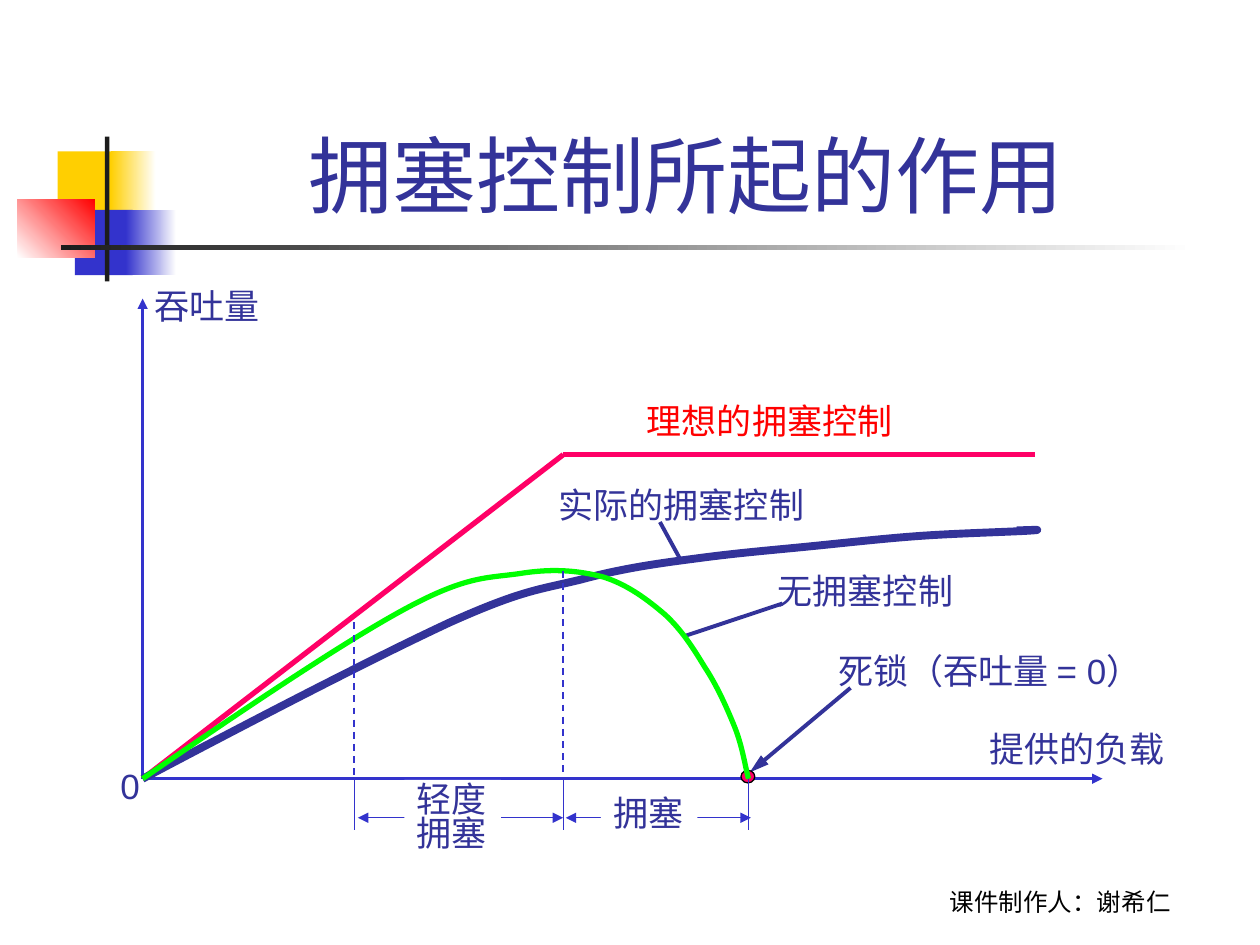
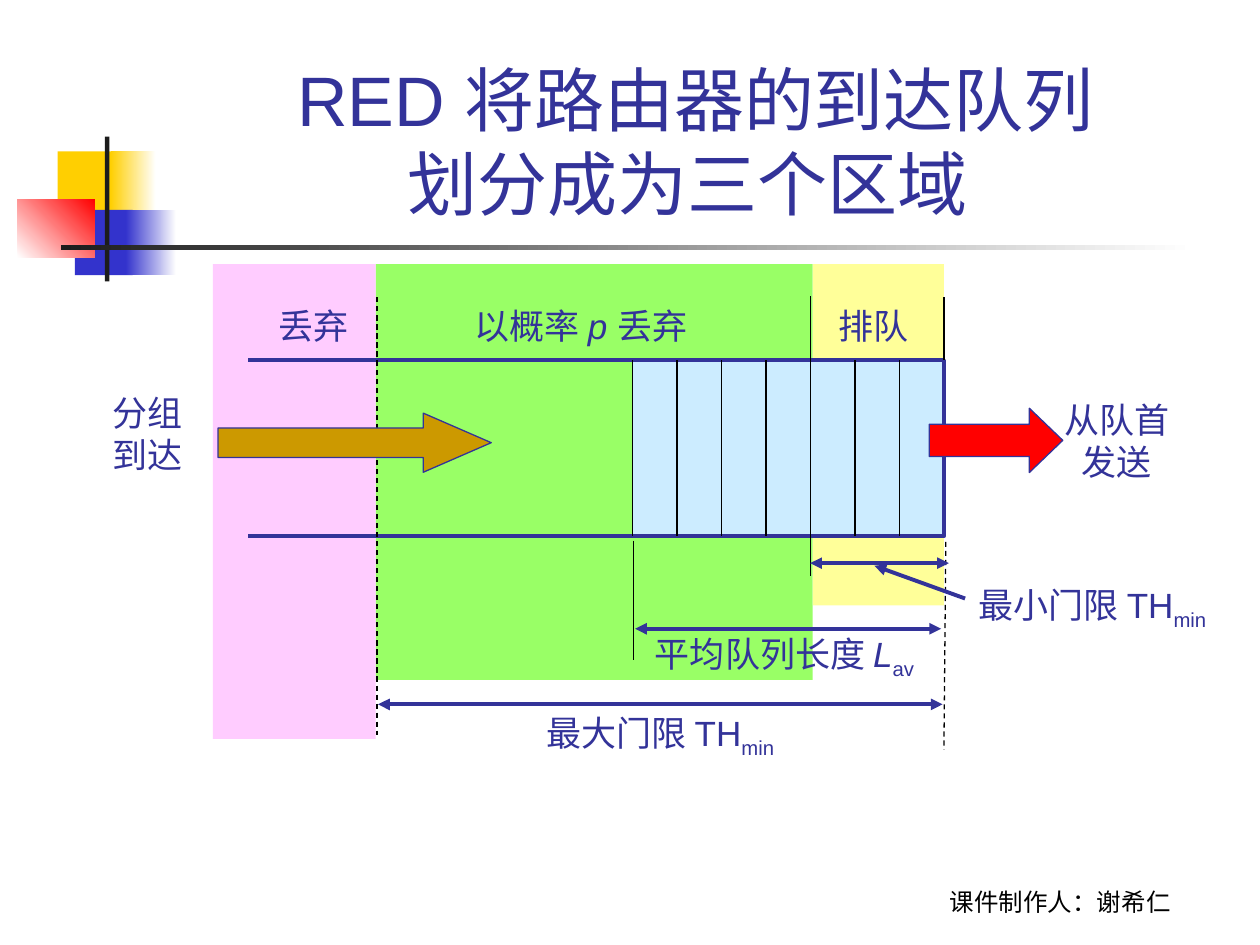
from lxml.etree import SubElement
from pptx import Presentation
from pptx.dml.color import RGBColor
from pptx.enum.dml import MSO_LINE
from pptx.enum.shapes import MSO_CONNECTOR, MSO_SHAPE
from pptx.enum.text import MSO_ANCHOR, MSO_AUTO_SIZE, PP_ALIGN
from pptx.oxml.ns import qn
from pptx.util import Pt

COLOURS = {
    name: RGBColor.from_string(value) for name, value in {
        "navy": "333399", "blue": "3333CC", "gold": "FFCF01", "red": "FF0000",
        "rose": "FF0066", "lime": "00FF00", "black": "000000", "ink": "1C1C1C",
        "white": "FFFFFF", "green": "99FF66", "yellow": "FFFF99", "pink": "FFCCFF",
        "sky": "CCECFF", "ochre": "CC9900",
    }.items()
}
SUBSCRIPT = {"baseline": "-25000"}
ITALIC = {"i": "1"}


def add_line(page, start, end, colour, weight, arrows="", dash=False, length="med"):
    """Arrows names the ends that carry a triangle: head, tail or both."""
    line = page.shapes.add_connector(
        MSO_CONNECTOR.STRAIGHT, *[Pt(value) for value in (*start, *end)])
    line.line.color.rgb = COLOURS[colour]
    line.line.width = Pt(weight)
    if dash:
        line.line.dash_style = MSO_LINE.DASH
    properties = line._element.spPr
    for side in arrows.split():
        SubElement(properties.find(qn("a:ln")), qn(f"a:{side}End"),
                   type="triangle", len=length)
    SubElement(properties, qn("a:effectLst"))


def add_label(page, area, *lines, colour="navy", size=20, font="Arial",
              align=PP_ALIGN.LEFT, anchor=MSO_ANCHOR.TOP, wrap=False,
              fill=None, spacing=None):
    """Each line is a string or a list of (text, run attributes)."""
    box = page.shapes.add_textbox(*[Pt(value) for value in area])
    if fill:
        box.fill.solid()
        box.fill.fore_color.rgb = COLOURS[fill]
    frame = box.text_frame
    frame.word_wrap = wrap
    frame.vertical_anchor = anchor
    if not wrap:
        frame.auto_size = MSO_AUTO_SIZE.SHAPE_TO_FIT_TEXT
    for index, line in enumerate(lines):
        para = frame.add_paragraph() if index else frame.paragraphs[0]
        for key, value in {"alignment": align, "line_spacing": spacing}.items():
            setattr(para, key, value)
        for text, style in [(line, {})] if isinstance(line, str) else line:
            span = para.add_run()
            span.text = text
            for key, value in {"name": font, "size": Pt(size)}.items():
                setattr(span.font, key, value)
            span.font.color.rgb = COLOURS[colour]
            for key, value in style.items():
                span._r.get_or_add_rPr().set(key, value)


deck = Presentation()
deck.slide_width, deck.slide_height = Pt(720), Pt(540)

# Shared corner blocks and rules: area, first colour, second colour, angle
DECORATION = [
    ((33, 86.5, 34.6, 37.4), "gold", None, 0),
    ((63.2, 86.5, 25.9, 37.4), "gold", "white", 0),
    ((42.8, 119.9, 33.1, 37.4), "blue", None, 0),
    ((72, 119.9, 28.8, 37.4), "blue", "white", 0),
    ((10, 113.8, 44.2, 33.5), "white", "red", 45),
    ((60, 78, 2.5, 82.8), "ink", None, 0),
    ((34.8, 140, 648, 2.9), "ink", "white", 0),
]
TITLES = [("拥塞控制所起的作用 ", 48), ("RED 将路由器的到达队列\n划分成为三个区域 ", 40)]

# Title, decoration and footer of every page
pages = []
for title_text, title_size in TITLES:
    page = deck.slides.add_slide(deck.slide_layouts[5])
    pages.append(page)
    for area, first, second, angle in DECORATION:
        block = page.shapes.add_shape(MSO_SHAPE.RECTANGLE, *[Pt(v) for v in area])
        block.shadow.inherit = False
        block.line.fill.background()
        if second:
            block.fill.gradient()
            block.fill.gradient_angle = angle
            for stop, name in zip(block.fill.gradient_stops, (first, second)):
                stop.color.rgb = COLOURS[name]
        else:
            block.fill.solid()
            block.fill.fore_color.rgb = COLOURS[first]

    title = page.shapes.title
    for key, value in {"left": 90.7, "top": 16.6, "width": 613.4, "height": 115.2}.items():
        setattr(title, key, Pt(value))
    frame = title.text_frame
    for key, value in {"vertical_anchor": MSO_ANCHOR.BOTTOM, "word_wrap": True,
                       "auto_size": MSO_AUTO_SIZE.NONE}.items():
        setattr(frame, key, value)
    para = frame.paragraphs[0]
    para.text = title_text
    para.alignment = PP_ALIGN.CENTER
    for span in para.runs:
        for key, value in {"name": "Arial", "size": Pt(title_size)}.items():
            setattr(span.font, key, value)
        span.font.color.rgb = COLOURS["navy"]
    for line_break in para._p.iter(qn("a:br")):
        SubElement(line_break, qn("a:rPr"), sz=str(title_size * 100))

    add_label(page, (491.8, 491, 228.2, 36), "课件制作人：谢希仁", colour="black", size=14,
              font="Cabin", align=PP_ALIGN.CENTER, anchor=MSO_ANCHOR.BOTTOM, wrap=True)

throughput, queue = pages

# Throughput page: axes, ideal curve and pointers
ORIGIN = (81.5, 445)
KNEE = (321.9, 259.8)
add_line(throughput, ORIGIN, (81.5, 170.6), "blue", 1.5, "tail")
add_line(throughput, ORIGIN, (630, 445), "blue", 1.5, "tail")
add_line(throughput, ORIGIN, KNEE, "rose", 3)
add_line(throughput, KNEE, (591.6, 259.8), "rose", 3)
add_line(throughput, (377.1, 298.3), (389.3, 320.6), "navy", 2.25)
add_line(throughput, (447.1, 344.9), (390.8, 363.6), "navy", 2.25)
add_line(throughput, (486, 393.1), (428.4, 441.4), "navy", 2.25, "tail", length="lg")

# Deadlock point
dot = throughput.shapes.add_shape(
    MSO_SHAPE.OVAL, Pt(423.4), Pt(440.2), Pt(7.9), Pt(7.2))
dot.shadow.inherit = False
dot.fill.solid()
dot.fill.fore_color.rgb = COLOURS["rose"]
dot.line.color.rgb = COLOURS["black"]
dot.line.width = Pt(0.75)

# Smooth curves: each row holds two control points and an end point
CURVES = [
    ("navy", 4.5, [
        ((148.3, 409.7), (215.3, 375.1), (257, 355.7)),
        ((298.8, 337), (308.2, 337), (331.9, 331.2)),
        ((355.7, 324.7), (377.3, 321.8), (398.9, 319)),
        ((420.5, 316.1), (438.5, 314.6), (460, 312.5)),
        ((482.4, 310.3), (507.6, 307.4), (529.2, 306)),
        ((550.8, 304.6), (581.8, 303.8), (590.4, 303.1)),
        ((599, 302.4), (582.5, 303.1), (581, 303.1))]),
    ("lime", 3, [
        ((138.2, 406.1), (195.8, 367.2), (231.8, 347.8)),
        ((267.8, 328.3), (279.4, 330.5), (298.1, 327.6)),
        ((316.8, 324.7), (331.2, 326.2), (344.9, 329.8)),
        ((358.6, 334.1), (370.1, 342.7), (380.2, 351.4)),
        ((389.5, 360), (396, 370.1), (402.5, 380.9)),
        ((409.7, 391.7), (415.4, 404.6), (419.8, 415.4)),
        ((424.1, 426.2), (425.5, 436.3), (427.7, 445))]),
]
for colour, weight, pieces in CURVES:
    builder = throughput.shapes.build_freeform(*[Pt(v) for v in ORIGIN], scale=1.0)
    builder.add_line_segments(
        [(Pt(x), Pt(y)) for piece in pieces for x, y in piece], close=False)
    curve = builder.convert_to_shape()
    curve.shadow.inherit = False
    curve.fill.background()
    curve.line.color.rgb = COLOURS[colour]
    curve.line.width = Pt(weight)
    # Join every three straight segments into one cubic segment
    track = next(curve._element.iter(qn("a:path")))
    segments = track.findall(qn("a:lnTo"))
    for first in range(0, len(segments), 3):
        cubic = SubElement(track, qn("a:cubicBezTo"))
        for segment in segments[first:first + 3]:
            cubic.append(segment[0])
            track.remove(segment)

# Congestion zones under the load axis
for x, dash_top in ((202.4, 355.7), (321.9, 326.2), (427.8, None)):
    if dash_top:
        add_line(throughput, (x, dash_top), (x, 445), "blue", 1, dash=True)
    add_line(throughput, (x, 445), (x, 474.5), "blue", 0.75)
for left, right in ((204.5, 321.8), (323.3, 429.1)):
    add_line(throughput, (left, 467.3), (right, 467.3), "blue", 0.75, "head tail")
add_label(throughput, (343.4, 448.6, 55.2, 31.7), "拥塞", fill="white")
add_label(throughput, (231.1, 445.7, 55.2, 46.1), "轻度", "拥塞", fill="white", spacing=0.8)

# Names of the axes and curves
for x, y, width, text, colour in [
    (558.4, 412, 115.2, "提供的负载", "navy"),
    (81.2, 159.1, 75.4, "吞吐量", "navy"),
    (362.6, 224.6, 155.4, "理想的拥塞控制", "red"),
    (312.2, 272.9, 155.4, "实际的拥塞控制", "navy"),
    (61.7, 433.4, 25.6, "0", "navy"),
    (472, 367.4, 202.6, "死锁（吞吐量 = 0）", "navy"),
    (437.4, 322, 115.2, "无拥塞控制", "navy"),
]:
    add_label(throughput, (x, y, width, 31.7), text, colour=colour)

# Queue page: three zones and the filled part of the queue
DISCARD, MAXIMUM, MINIMUM, HEAD = 121.7, 214.7, 464.5, 539.4
TOP, BOTTOM, TAIL = 205.8, 306.4, 361.5
for left, right, top, bottom, colour in [
    (MAXIMUM, MINIMUM, 150.9, 388.5, "green"),
    (MINIMUM, HEAD, 150.9, 346, "yellow"),
    (DISCARD, MAXIMUM, 150.9, 422.3, "pink"),
    (TAIL, HEAD, TOP, BOTTOM, "sky"),
]:
    zone = queue.shapes.add_shape(
        MSO_SHAPE.RECTANGLE, *[Pt(v) for v in (left, top, right - left, bottom - top)])
    zone.shadow.inherit = False
    zone.fill.solid()
    zone.fill.fore_color.rgb = COLOURS[colour]
    zone.line.fill.background()

# Queue outline, open on the left
builder = queue.shapes.build_freeform(Pt(141.8), Pt(TOP), scale=1.0)
builder.add_line_segments(
    [(Pt(x), Pt(y)) for x, y in ((HEAD, TOP), (HEAD, BOTTOM), (141.8, BOTTOM))], close=False)
outline = builder.convert_to_shape()
outline.shadow.inherit = False
outline.fill.background()
outline.line.color.rgb = COLOURS["navy"]
outline.line.width = Pt(2.25)

# Cell walls; the fifth one marks the minimum threshold
for cell in range(7):
    x = TAIL + 25.4 * cell
    top, bottom = (169.2, 329) if cell == 4 else (TOP, BOTTOM)
    add_line(queue, (x, top), (x, bottom), "black", 0.75)

# Guide lines and measures
add_line(queue, (215.4, 169.9), (215.4, 419.8), "black", 0.75, dash=True)
add_line(queue, (540.5, 309.6), (539.4, 428.4), "black", 0.75, dash=True)
add_line(queue, (HEAD, 169.9), (HEAD, TOP), "black", 0.75)
add_line(queue, (362.2, 308.9), (362.2, 377.3), "black", 0.75)
for left, right, y in ((362.9, 537.8, 359.3), (463, 542.2, 321.8), (216, 538.6, 402.5)):
    add_line(queue, (left, y), (right, y), "navy", 2.25, "head tail")
add_line(queue, (551.5, 342), (499.7, 323.3), "navy", 2.25, "tail")

# Arrows into and out of the queue
for area, colour, head_length in [
    ((531, 233.3, 76.3, 36.7), "red", 0.52),
    ((124.6, 236.1, 156.1, 33.8), "ochre", 1.15),
]:
    arrow = queue.shapes.add_shape(MSO_SHAPE.RIGHT_ARROW, *[Pt(v) for v in area])
    arrow.shadow.inherit = False
    arrow.adjustments[0], arrow.adjustments[1] = 0.5, head_length
    arrow.fill.solid()
    arrow.fill.fore_color.rgb = COLOURS[colour]
    arrow.line.color.rgb = COLOURS["navy"]
    arrow.line.width = Pt(0.75)

# Queue labels
add_label(queue, (600.4, 223.9, 75.4, 55.4), "从队首", "发送", align=PP_ALIGN.CENTER)
add_label(queue, (56.8, 220.3, 55.2, 55.4), "分组", "到达", align=PP_ALIGN.CENTER)
add_label(queue, (552.2, 329.8, 154.1, 59), [("最小门限 TH", {}), ("min", SUBSCRIPT)], wrap=True)
for area, line in [
    ((305.2, 403.2, 154.8, 34.6), [("最大门限 TH", {}), ("min", SUBSCRIPT)]),
    ((367.2, 357.8, 172.8, 34.6), [("平均队列长度 ", {}), ("L", ITALIC), ("av", SUBSCRIPT)]),
    ((471.8, 170.6, 55.2, 31.7), "排队"),
    ((152.2, 170.6, 55.2, 31.7), "丢弃"),
    ((264.2, 170.6, 150.5, 31.7), [("以概率 ", {}), ("p ", ITALIC), ("丢弃", {})]),
]:
    add_label(queue, area, line)

deck.save("out.pptx")
